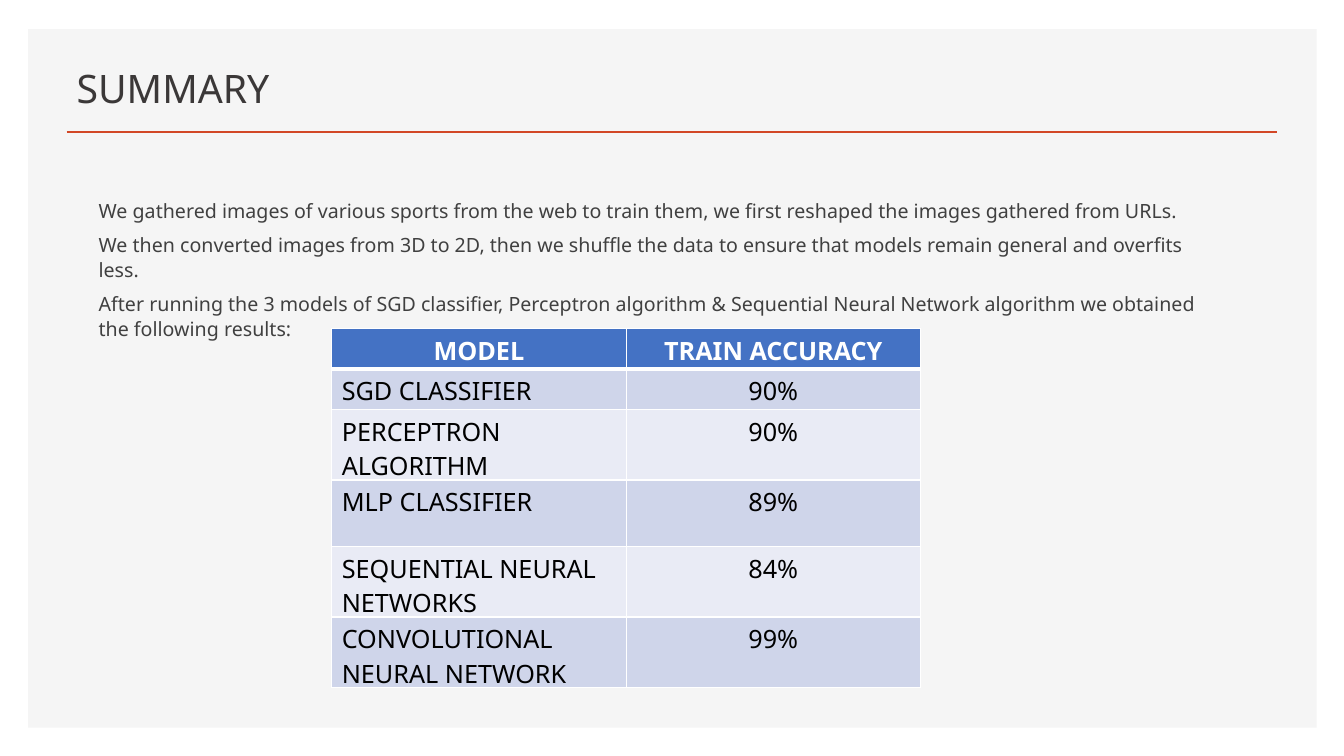
"""Build the summary slide with its table of model accuracy."""
from lxml.etree import SubElement
from pptx import Presentation
from pptx.dml.color import RGBColor
from pptx.enum.shapes import MSO_CONNECTOR, MSO_SHAPE
from pptx.enum.text import MSO_ANCHOR, PP_ALIGN
from pptx.oxml.ns import qn
from pptx.util import Inches, Pt

TITLE = "SUMMARY"
NOTES = [
    "We gathered images of various sports from the web to train them, "
    "we first reshaped the images gathered from URLs.",
    "We then converted images from 3D to 2D, then we shuffle the data "
    "to ensure that models remain general and overfits less.",
    "After running the 3 models of SGD classifier, Perceptron algorithm & "
    "Sequential Neural Network algorithm we obtained the following results:",
]
ROWS = [
    ("MODEL", "TRAIN ACCURACY"),
    ("SGD CLASSIFIER", "90%"),
    ("PERCEPTRON ALGORITHM", "90%"),
    ("MLP CLASSIFIER", "89%"),
    ("SEQUENTIAL NEURAL NETWORKS", "84%"),
    ("CONVOLUTIONAL NEURAL NETWORK", "99%"),
]
COLORS = {
    "panel": "F5F5F5", "rule": "D24726", "title": "3B3838", "note": "404040",
    "head": "4472C4", "odd": "CFD5EA", "even": "E9EBF5",
    "white": "FFFFFF", "black": "000000",
}
FONT = "Noto Sans"
WIDE, HIGH = 13.33, 7.5
LEFT, SPAN, RULE = 0.66, 12.01, 1.31
SHORT, TALL = 0.38, 0.66


def color(name):
    return RGBColor.from_string(COLORS[name])


def box(*sides):
    return [Inches(side) for side in sides]


def style(para, size, tint, bold=False):
    for run in para.runs:
        font = run.font
        font.name, font.size, font.bold = FONT, Pt(size), bold
        font.color.rgb = color(tint)


def border(cell, top, base):
    props = cell._tc.get_or_add_tcPr()
    for side, width in zip("LRTB", (1, 1, top, base)):
        line = SubElement(props, qn(f"a:ln{side}"), w=str(Pt(width)))
        fill = SubElement(line, qn("a:solidFill"))
        SubElement(fill, qn("a:srgbClr"), val=COLORS["white"])


deck = Presentation()
deck.slide_width, deck.slide_height = box(WIDE, HIGH)
slide = deck.slides.add_slide(deck.slide_layouts[5])
shapes = slide.shapes

panel = shapes.add_shape(MSO_SHAPE.RECTANGLE, *box(0.28, 0.29, 12.78, 6.93))
panel.shadow.inherit = False
panel.fill.solid()
panel.fill.fore_color.rgb = color("panel")
panel.line.fill.background()
shapes._spTree.insert(2, panel._element)

rule = shapes.add_connector(
    MSO_CONNECTOR.STRAIGHT, *box(LEFT, RULE, LEFT + SPAN, RULE))
rule.line.color.rgb = color("rule")
rule.line.width = Pt(2)
SubElement(rule._element.spPr, qn("a:effectLst"))

title = shapes.title
title.left, title.top, title.width, title.height = box(LEFT, 0.49, SPAN, 0.82)
frame = title.text_frame
frame.text = TITLE
frame.vertical_anchor = MSO_ANCHOR.MIDDLE
para = frame.paragraphs[0]
para.alignment, para.line_spacing = PP_ALIGN.LEFT, 0.9
style(para, 28, "title")

frame = shapes.add_textbox(*box(0.88, 1.91, 11.14, 1.35)).text_frame
frame.word_wrap = True
frame.text = "\n".join(NOTES)
for para in frame.paragraphs:
    para.line_spacing, para.space_after = Pt(18), Pt(6)
    style(para, 14, "note")

tall = len(ROWS) - 2
grid = shapes.add_table(
    len(ROWS), 2, *box(3.29, 3.26, 5.84, 2 * SHORT + tall * TALL)).table
for r, row in enumerate(ROWS):
    grid.rows[r].height = Inches(SHORT if r < 2 else TALL)
    head = r == 0
    band = "head" if head else ("even", "odd")[r % 2]
    for c, text in enumerate(row):
        cell = grid.cell(r, c)
        border(cell, 3 if r == 1 else 1, 3 if head else 1)
        cell.fill.solid()
        cell.fill.fore_color.rgb = color(band)
        cell.text_frame.text = text
        para = cell.text_frame.paragraphs[0]
        para.alignment = PP_ALIGN.CENTER if head or c else PP_ALIGN.LEFT
        style(para, 18, "white" if head else "black", head)

deck.save("out.pptx")
